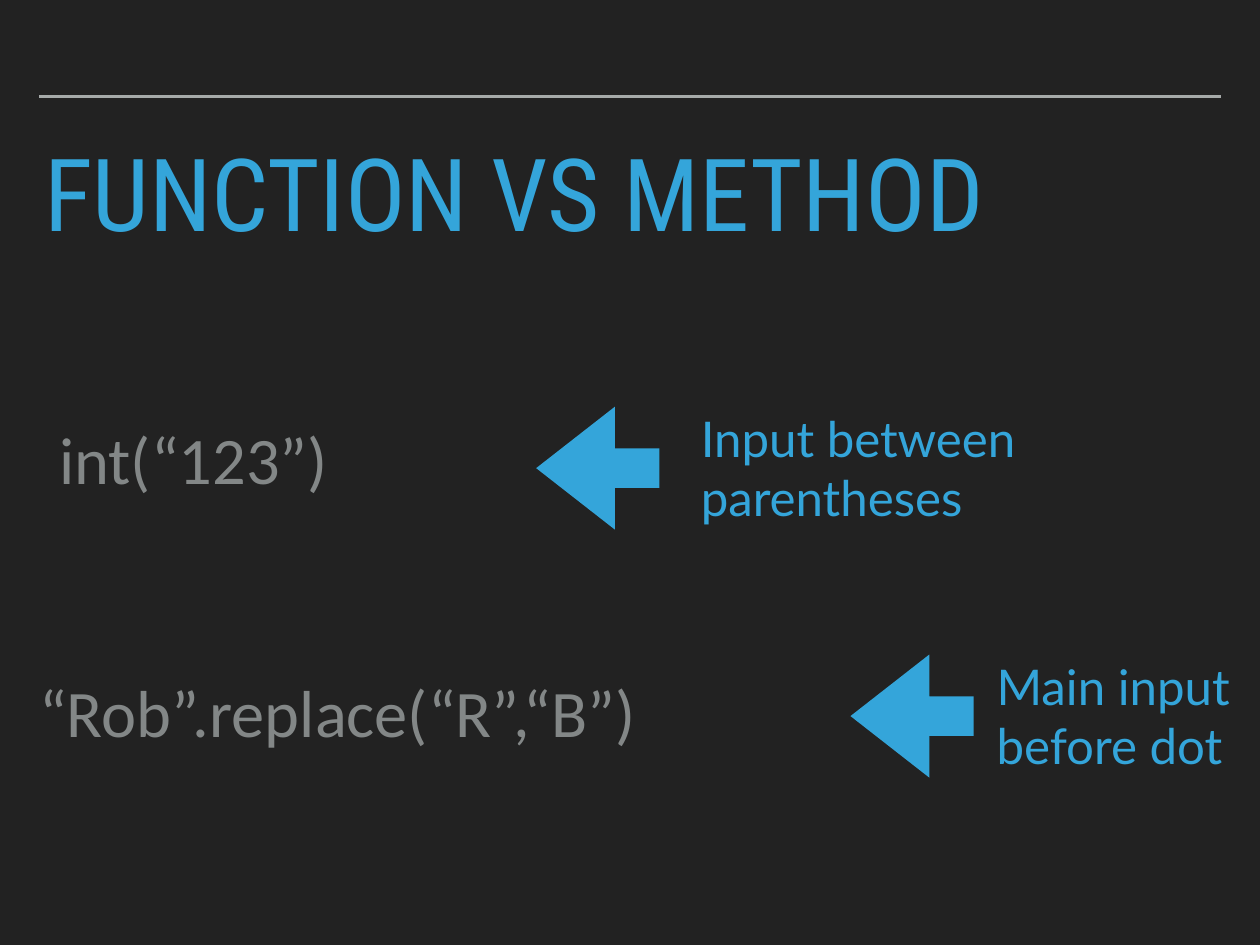
from pptx import Presentation
from pptx.dml.color import RGBColor
from pptx.enum.shapes import MSO_CONNECTOR, MSO_SHAPE
from pptx.enum.text import MSO_ANCHOR, PP_ALIGN
from pptx.oxml.ns import qn
from pptx.util import Cm, Pt
from lxml.etree import SubElement

BLUE = "34A5DA"
GREY = "838787"


def paint(color_format, value):
    color_format.rgb = RGBColor.from_string(value)


def write(text, box, font, size, color, before=24, anchor=MSO_ANCHOR.MIDDLE):
    frame = slide.shapes.add_textbox(*[Cm(n) for n in box]).text_frame
    frame.word_wrap = True
    frame.vertical_anchor = anchor
    frame.margin_left = frame.margin_right = Cm(0.15)
    frame.margin_top = frame.margin_bottom = Cm(0.15)
    line = frame.paragraphs[0]
    line.text = text
    line.alignment = PP_ALIGN.LEFT
    line.space_before = Pt(before)
    line.font.name = font
    line.font.size = Pt(size)
    paint(line.font.color, color)
    return line


deck = Presentation()
deck.slide_width = Cm(36.12)
deck.slide_height = Cm(27.1)
slide = deck.slides.add_slide(deck.slide_layouts[6])
slide.background.fill.solid()
paint(slide.background.fill.fore_color, "222222")

rule = slide.shapes.add_connector(MSO_CONNECTOR.STRAIGHT, Cm(1.12), Cm(2.77), Cm(35), Cm(2.77))
rule.line.width = Pt(2)
paint(rule.line.color, "A6AAA9")
SubElement(rule._element.spPr, qn("a:effectLst"))

title = write("FUNCTION VS METHOD", (1.12, 4.27, 33.86, 3.25), "Roboto Condensed", 82, BLUE,
              before=19, anchor=MSO_ANCHOR.TOP)
title.line_spacing = 0.8

examples = [
    ("int(“123”)", 1.55, 11.84, 15.37, "Input between parentheses", 19.94, 11.33, 11.53),
    ("“Rob”.replace(“R”,“B”)", 0.97, 19.1, 24.38, "Main input before dot", 28.42, 18.44, 7.34),
]
for code, code_x, code_y, arrow_x, note, note_x, note_y, note_width in examples:
    write(code, (code_x, code_y, 31.83, 2.57), "Calibri", 54, GREY)

    arrow = slide.shapes.add_shape(MSO_SHAPE.RIGHT_ARROW, Cm(arrow_x), Cm(note_y + 0.33), Cm(3.53), Cm(3.53))
    arrow.rotation = 180
    arrow.adjustments[0] = 0.32
    arrow.adjustments[1] = 0.64
    arrow.shadow.inherit = False
    arrow.fill.solid()
    paint(arrow.fill.fore_color, BLUE)
    arrow.line.fill.background()

    write(note, (note_x, note_y, note_width, 4.17), "Lato", 40, BLUE)

deck.save("out.pptx")
